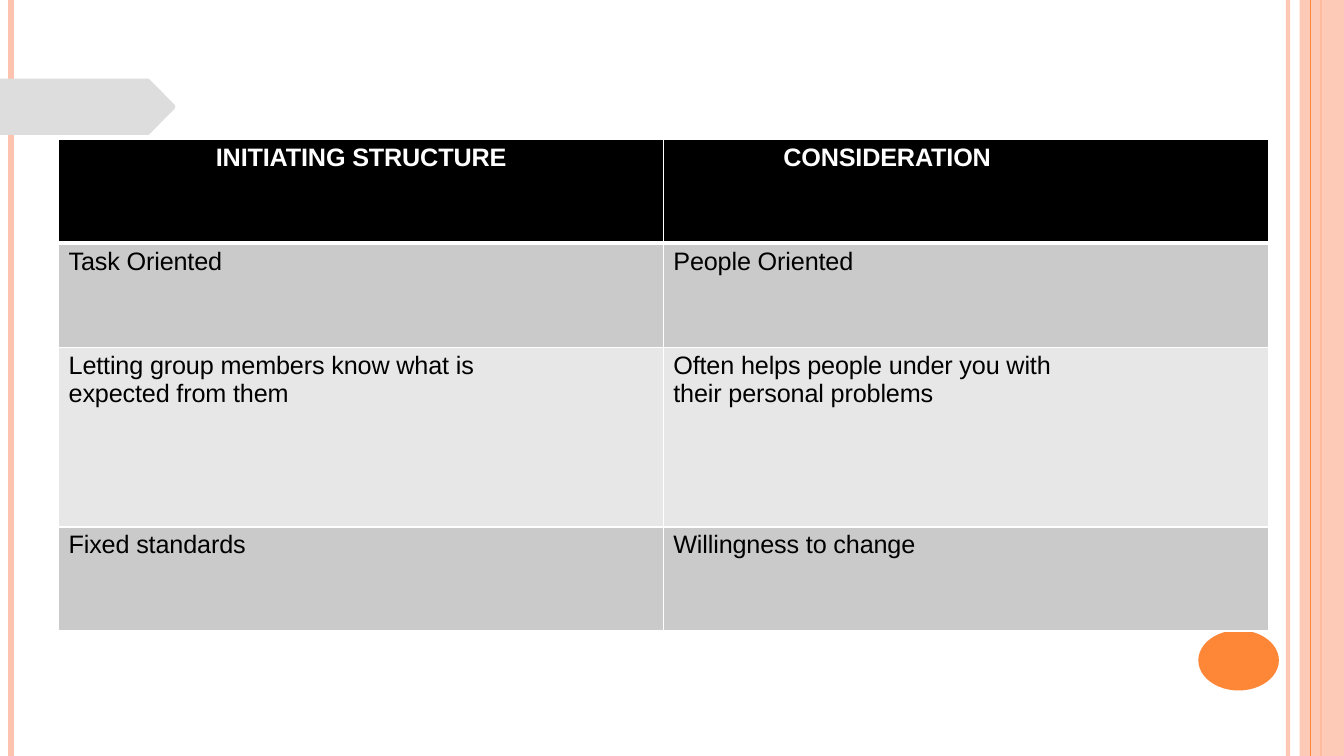
"""Build a slide comparing initiating structure with consideration."""
from dataclasses import dataclass

from lxml.etree import SubElement
from pptx import Presentation
from pptx.dml.color import RGBColor
from pptx.enum.shapes import MSO_CONNECTOR, MSO_SHAPE
from pptx.enum.text import PP_ALIGN
from pptx.oxml.ns import qn
from pptx.util import Cm, Pt


@dataclass(frozen=True)
class Theme:
    peach: str = "FEC3AE"
    orange: str = "FE8637"
    arrow: str = "DDDDDD"
    white: str = "FFFFFF"
    black: str = "000000"
    dark_band: str = "CACACA"
    light_band: str = "E7E7E7"
    font: str = "Arial"
    text_size: int = 18
    tracking: str = "-10"


theme = Theme()


def paint(shape, color):
    shape.shadow.inherit = False
    shape.fill.solid()
    shape.fill.fore_color.rgb = RGBColor.from_string(color)
    shape.line.fill.background()


def fade(shape, percent):
    for color in shape._element.spPr.iter(qn("a:srgbClr")):
        SubElement(color, qn("a:alpha"), val=str(percent * 1000))


presentation = Presentation()
presentation.slide_width = Cm(33.87)
presentation.slide_height = Cm(19.05)
slide = presentation.slides.add_slide(presentation.slide_layouts[6])
shapes = slide.shapes

side_stripes = [
    (32.46, theme.peach, 3, 93),
    (0.28, theme.peach, 4.5, 100),
    (33.3, theme.orange, 1.5, 100),
    (33.02, theme.orange, 0.75, 100),
]
for x, color, width, opacity in side_stripes:
    if x == 33.02:
        side_band = shapes.add_shape(MSO_SHAPE.RECTANGLE, Cm(32.75), Cm(0), Cm(1.12), Cm(19.05))
        paint(side_band, theme.peach)
        fade(side_band, 87)
    stripe = shapes.add_connector(MSO_CONNECTOR.STRAIGHT, Cm(x), Cm(0), Cm(x), Cm(19.05))
    stripe.line.color.rgb = RGBColor.from_string(color)
    stripe.line.width = Pt(width)
    SubElement(stripe._element.spPr, qn("a:effectLst"))
    if opacity < 100:
        fade(stripe, opacity)

number_disc = shapes.add_shape(MSO_SHAPE.OVAL, Cm(30.2), Cm(15.88), Cm(2.03), Cm(1.52))
paint(number_disc, theme.orange)

arrow_outline = shapes.build_freeform(0, 198, scale=Cm(0.01))
arrow_outline.add_line_segments(
    [(374, 198), (377, 200), (440, 264), (442, 269), (440, 274), (377, 338), (374, 340), (0, 340)]
)
paint(arrow_outline.convert_to_shape(), theme.arrow)

styles_rows = [
    (2.62, theme.black, ["INITIATING STRUCTURE", "CONSIDERATION"]),
    (2.62, theme.dark_band, ["Task Oriented", "People Oriented"]),
    (4.53, theme.light_band, [
        "Letting group members know what is\nexpected from them",
        "Often helps people under you with\ntheir personal problems",
    ]),
    (2.62, theme.dark_band, ["Fixed standards", "Willingness to change"]),
]
header_indents = [0, 3.02]
comparison = shapes.add_table(4, 2, Cm(1.48), Cm(3.51), Cm(30.48), Cm(12.39)).table
comparison.horz_banding = False
comparison.first_row = False

for row, (height, band, phrases) in enumerate(styles_rows):
    comparison.rows[row].height = Cm(height)
    is_header = row == 0
    font_format = {"name": theme.font, "size": Pt(theme.text_size), "bold": is_header}
    for column, phrase in enumerate(phrases):
        cell = comparison.cell(row, column)
        cell_format = {
            "margin_left": Cm(header_indents[column] if is_header else 0.25),
            "margin_top": Cm(0.1),
            "margin_right": Cm(0),
            "margin_bottom": Cm(0),
            "text": phrase,
        }
        for attribute, value in cell_format.items():
            setattr(cell, attribute, value)

        border_points = {"lnL": 1, "lnR": 1, "lnT": 3 if row == 1 else 1, "lnB": 3 if is_header else 1}
        for side, points in border_points.items():
            border = SubElement(cell._tc.get_or_add_tcPr(), qn(f"a:{side}"), w=str(Pt(points)))
            border_fill = SubElement(border, qn("a:solidFill"))
            SubElement(border_fill, qn("a:srgbClr"), val=theme.white)
        cell.fill.solid()
        cell.fill.fore_color.rgb = RGBColor.from_string(band)

        for paragraph in cell.text_frame.paragraphs:
            paragraph.alignment = PP_ALIGN.CENTER if is_header and column == 0 else PP_ALIGN.LEFT
            for run in paragraph.runs:
                for attribute, value in font_format.items():
                    setattr(run.font, attribute, value)
                run.font.color.rgb = RGBColor.from_string(theme.white if is_header else theme.black)
                run._r.get_or_add_rPr().set("spc", theme.tracking)

presentation.save("out.pptx")
